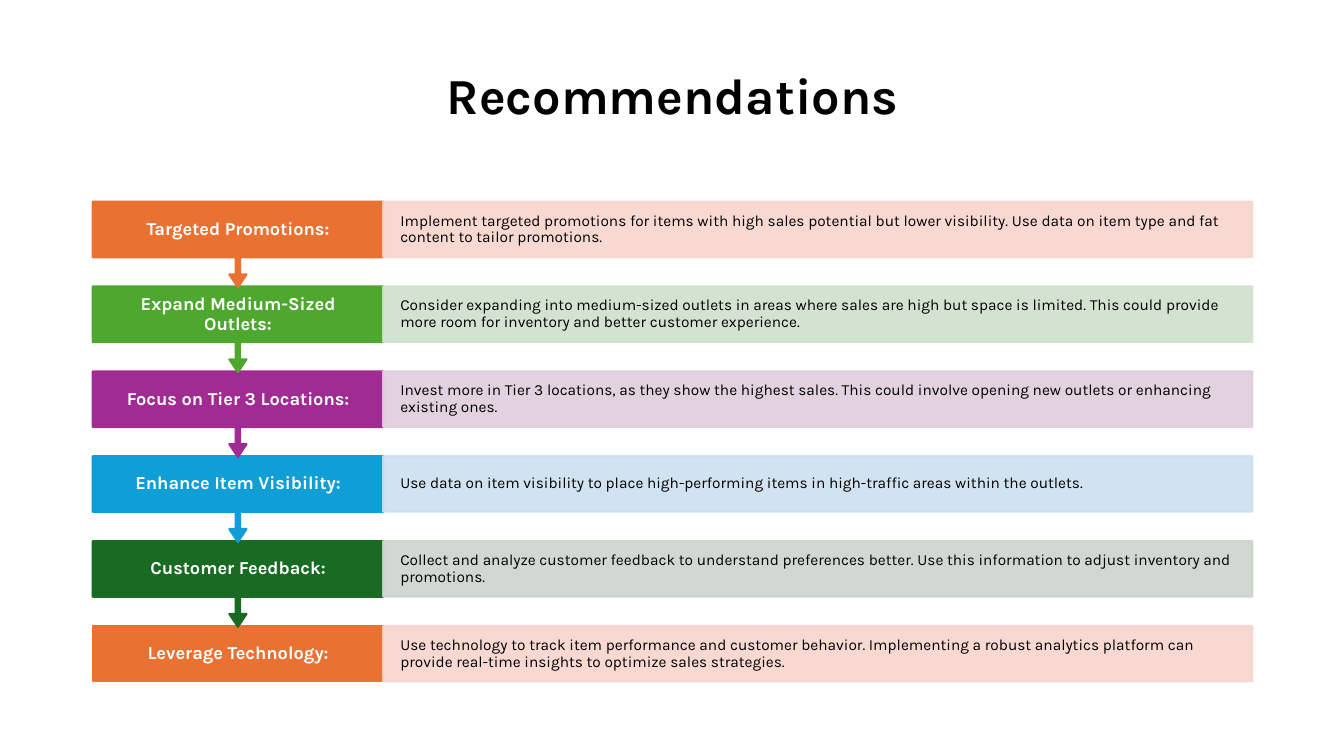
import pptx
import pptx.dml.color
import pptx.enum.shapes
import pptx.enum.text
import pptx.oxml.ns
import pptx.util
import lxml.etree

Inches = pptx.util.Inches
Pt = pptx.util.Pt
RGB = pptx.dml.color.RGBColor
MSO = pptx.enum.shapes.MSO_SHAPE
ALIGN = pptx.enum.text.PP_ALIGN
ANCHOR = pptx.enum.text.MSO_ANCHOR

BLACK = RGB(0x00, 0x00, 0x00)
WHITE = RGB(0xFF, 0xFF, 0xFF)
ORANGE = RGB(0xE9, 0x71, 0x32)
GREEN = RGB(0x4E, 0xA7, 0x2E)
PURPLE = RGB(0xA0, 0x2B, 0x93)
BLUE = RGB(0x0F, 0x9E, 0xD5)
DARK_GREEN = RGB(0x19, 0x6B, 0x24)
PALE_ORANGE = RGB(0xF7, 0xD5, 0xCE)
PALE_GREEN = RGB(0xD0, 0xE1, 0xCD)
PALE_PURPLE = RGB(0xDF, 0xCD, 0xDC)
PALE_BLUE = RGB(0xCC, 0xDF, 0xEF)
PALE_GREY = RGB(0xCC, 0xD4, 0xCD)

TITLE_FONT = {"name": "Karla", "size": Pt(36), "bold": True}
LABEL_FONT = {"name": "Karla", "size": Pt(13), "bold": True}
DETAIL_FONT = {"name": "Karla", "size": Pt(11), "bold": False}

LABEL_WIDTH = 2.88
ROW_HEIGHT = 0.55
ROW_PITCH = 0.842
CALLOUT_ADJUSTMENTS = (0.05, 0.1, 0.15, 0.65)

STEPS = [
    ("Targeted Promotions:", ORANGE, PALE_ORANGE,
     "Implement targeted promotions for items with high sales potential but lower visibility. "
     "Use data on item type and fat content to tailor promotions."),
    ("Expand Medium-Sized Outlets:", GREEN, PALE_GREEN,
     "Consider expanding into medium-sized outlets in areas where sales are high but space is limited. "
     "This could provide more room for inventory and better customer experience."),
    ("Focus on Tier 3 Locations:", PURPLE, PALE_PURPLE,
     "Invest more in Tier 3 locations, as they show the highest sales. "
     "This could involve opening new outlets or enhancing existing ones."),
    ("Enhance Item Visibility:", BLUE, PALE_BLUE,
     "Use data on item visibility to place high-performing items in high-traffic areas within the outlets."),
    ("Customer Feedback:", DARK_GREEN, PALE_GREY,
     "Collect and analyze customer feedback to understand preferences better. "
     "Use this information to adjust inventory and promotions."),
    ("Leverage Technology:", ORANGE, PALE_ORANGE,
     "Use technology to track item performance and customer behavior. "
     "Implementing a robust analytics platform can provide real-time insights to optimize sales strategies."),
]


def write(sp, text, font, color, align, anchor, inset_x, inset_y):
    tf = sp.text_frame
    frame = {
        "word_wrap": True,
        "vertical_anchor": anchor,
        "margin_left": Inches(inset_x),
        "margin_right": Inches(inset_x),
        "margin_top": Inches(inset_y),
        "margin_bottom": Inches(inset_y),
    }
    for name, value in frame.items():
        setattr(tf, name, value)
    p = tf.paragraphs[0]
    p.alignment = align
    p.line_spacing = 0.9
    r = p.add_run()
    r.text = text
    for name, value in font.items():
        setattr(r.font, name, value)
    r.font.color.rgb = color


def add_block(slide, kind, left, top, width, height, color, opacity=100):
    sp = slide.shapes.add_shape(kind, Inches(left), Inches(top), Inches(width), Inches(height))
    sp.shadow.inherit = False
    sp.fill.solid()
    sp.fill.fore_color.rgb = color
    sp.line.color.rgb = color
    sp.line.width = Pt(1.5)
    if opacity < 100:
        qn = pptx.oxml.ns.qn
        for clr in sp.element.spPr.iter(qn("a:srgbClr")):
            lxml.etree.SubElement(clr, qn("a:alpha")).set("val", str(opacity * 1000))
    return sp


def add_title(slide, left, top, width, height):
    sp = slide.shapes.add_textbox(Inches(left), Inches(top), Inches(width), Inches(height))
    write(sp, "Recommendations", TITLE_FONT, BLACK, ALIGN.CENTER, ANCHOR.TOP, 0.1, 0.09)


def add_step(slide, left, top, width, step, has_arrow):
    label, color, pale, detail = step
    if has_arrow:
        sp = add_block(slide, MSO.DOWN_ARROW_CALLOUT, left, top, LABEL_WIDTH, 0.85, color)
        for i, value in enumerate(CALLOUT_ADJUSTMENTS):
            sp.adjustments[i] = value
    else:
        sp = add_block(slide, MSO.RECTANGLE, left, top, LABEL_WIDTH, ROW_HEIGHT, color)
    write(sp, label, LABEL_FONT, WHITE, ALIGN.CENTER, ANCHOR.MIDDLE, 0.2, 0.1)

    sp = add_block(slide, MSO.RECTANGLE, left + LABEL_WIDTH, top,
                   width - LABEL_WIDTH, ROW_HEIGHT, pale, 90)
    write(sp, detail, DETAIL_FONT, BLACK, ALIGN.LEFT, ANCHOR.MIDDLE, 0.17, 0.15)


def add_steps(slide, left, top, width):
    last = len(STEPS) - 1
    for i in range(last, -1, -1):
        add_step(slide, left, top + i * ROW_PITCH, width, STEPS[i], i < last)


def main():
    prs = pptx.Presentation()
    prs.slide_width = Inches(13.33)
    prs.slide_height = Inches(7.5)
    slide = prs.slides.add_slide(prs.slide_layouts[6])
    add_title(slide, 0.92, 0.61, 11.5, 1.24)
    add_steps(slide, 0.92, 2, 11.5)
    prs.save("out.pptx")


if __name__ == "__main__":
    main()
